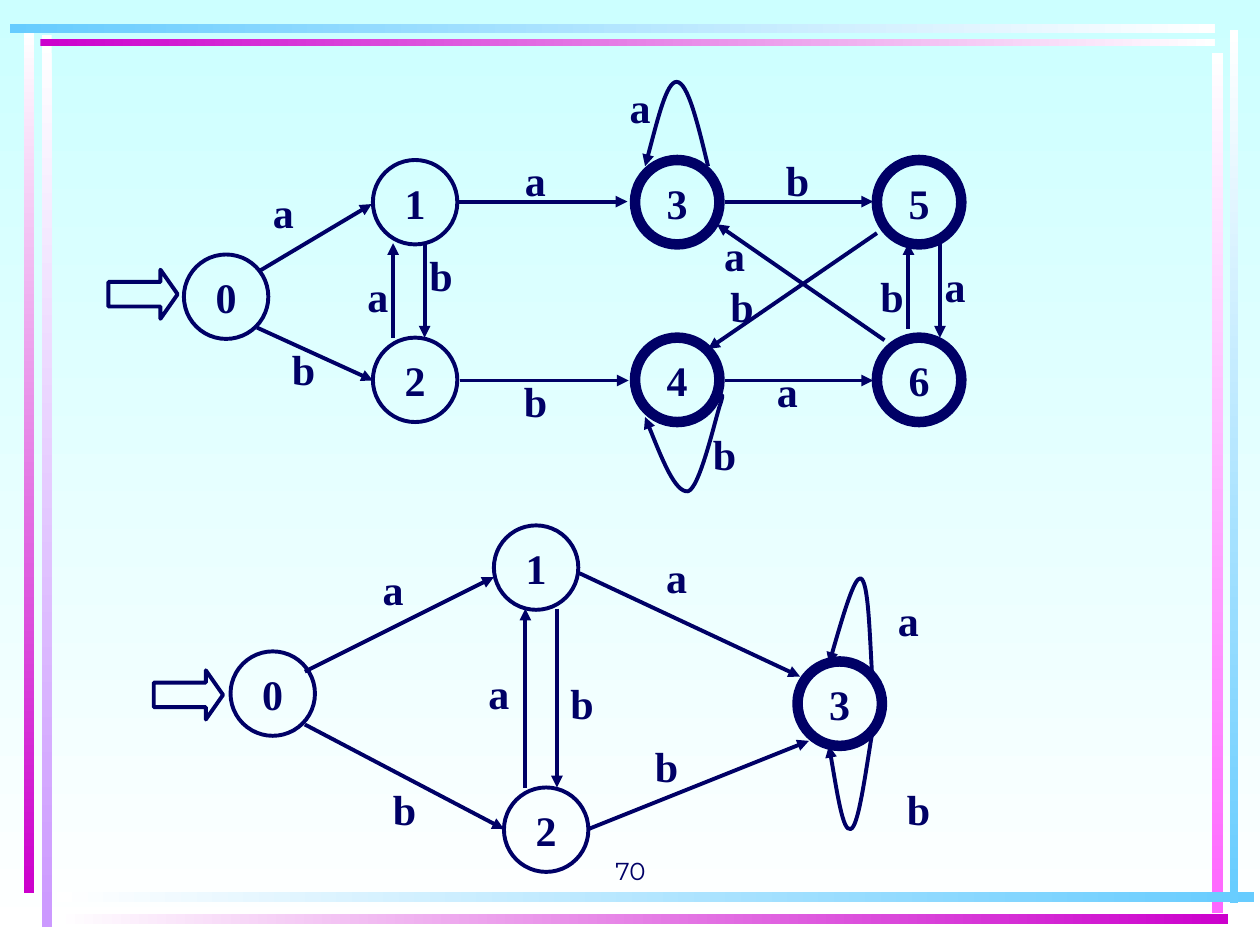
from lxml import etree
from pptx import Presentation
from pptx.dml.color import RGBColor
from pptx.enum.shapes import MSO_CONNECTOR, MSO_SHAPE
from pptx.enum.text import MSO_ANCHOR, PP_ALIGN
from pptx.oxml.ns import qn
from pptx.util import Inches, Pt

NAVY = "000066"
NODE_SIZE = 0.67
LABEL_WIDTH, LABEL_HEIGHT = 0.58, 0.5
BOLD_SERIF = {"name": "Times New Roman", "size": Pt(24), "bold": True}
NUMBER_FONT = {"name": "Montserrat", "size": Pt(14), "bold": False}


def write_text(shape, text, font_format=BOLD_SERIF, anchor=MSO_ANCHOR.MIDDLE, wrap=False):
    frame = shape.text_frame
    frame.word_wrap = wrap
    frame.vertical_anchor = anchor
    paragraph = frame.paragraphs[0]
    paragraph.text = text
    paragraph.alignment = PP_ALIGN.CENTER
    for name, value in font_format.items():
        setattr(paragraph.font, name, value)
    paragraph.font.color.rgb = RGBColor.from_string(NAVY)


def draw_outline(shape, width=2.25, arrow=False):
    """Give a shape or connector a navy line, no shadow and an optional arrowhead."""
    shape.line.color.rgb = RGBColor.from_string(NAVY)
    shape.line.width = Pt(width)
    properties = shape._element.spPr
    if arrow:
        etree.SubElement(properties.find(qn("a:ln")), qn("a:tailEnd"), type="triangle")
    if hasattr(shape, "fill"):
        shape.fill.background()
        shape.shadow.inherit = False
    else:
        etree.SubElement(properties, qn("a:effectLst"))


presentation = Presentation()
presentation.slide_width, presentation.slide_height = Inches(10), Inches(7.5)
slide = presentation.slides.add_slide(presentation.slide_layouts[6])
shapes = slide.shapes

# Background and frame: left, top, width, height, first colour, last colour
frame_bars = [
    (0.33, 0.28, 0.08, 7.08, "FFFFFF", "CC99FF"),
    (0.19, 0.25, 0.08, 6.84, "FFFFFF", "CC00CC"),
    (9.76, 0.24, 0.07, 6.93, "FFFFFF", "66CCFF"),
    (9.62, 0.42, 0.09, 6.83, "FFFFFF", "FF66FF"),
    (0.45, 7.08, 9.5, 0.08, "FFFFFF", "66CCFF"),
    (0.45, 7.25, 9.3, 0.08, "FFFFFF", "CC00CC"),
    (0.32, 0.31, 9.32, 0.06, "CC00CC", "FFFFFF"),
    (0.08, 0.19, 9.56, 0.07, "66CCFF", "FFFFFF"),
]
gradients = [(slide.background.fill, "CCFFFF", "FFFFFF", 270)]
for left, top, width, height, first, last in frame_bars:
    bar = shapes.add_shape(MSO_SHAPE.RECTANGLE, Inches(left), Inches(top), Inches(width), Inches(height))
    bar.line.fill.background()
    bar.shadow.inherit = False
    gradients.append((bar.fill, first, last, 270 if height > width else 0))
for fill, first, last, angle in gradients:
    fill.gradient()
    fill.gradient_angle = angle
    for stop, colour, position in zip(fill.gradient_stops, (first, last), (0, 1)):
        stop.color.rgb = RGBColor.from_string(colour)
        stop.position = position

slide_number = shapes.add_textbox(Inches(3.42), Inches(6.58), Inches(3.17), Inches(0.5))
write_text(slide_number, "70", NUMBER_FONT, MSO_ANCHOR.BOTTOM, True)

full_automaton = {
    "start": (0.86, 2.14),
    "states": [(1.46, 2.02), (2.96, 1.27), (2.96, 2.68), (5.04, 1.27),
               (5.04, 2.68), (6.96, 1.27), (6.96, 2.68)],
    "accepting": {3, 4, 5, 6},
    # from x, from y, to x, to y, letter, label left, label top
    "transitions": [
        (2.06, 2.15, 2.95, 1.62, "a", 1.96, 1.43),
        (3.64, 1.6, 4.98, 1.6, "a", 3.96, 1.18),
        (5.75, 1.6, 6.93, 1.6, "b", 6.04, 1.18),
        (2.04, 2.6, 2.96, 3.02, "b", 2.12, 2.68),
        (3.65, 3.02, 4.99, 3.02, "b", 3.96, 2.93),
        (5.75, 3.02, 6.93, 3.02, "a", 5.96, 2.85),
        (3.37, 1.93, 3.37, 2.68, "b", 3.21, 1.93),
        (3.12, 2.68, 3.12, 1.93, "a", 2.71, 2.1),
        (7.21, 2.61, 7.21, 1.93, "b", 6.79, 2.1),
        (7.46, 1.93, 7.46, 2.68, "a", 7.29, 2.02),
        (6.96, 1.85, 5.62, 2.77, "b", 5.6, 2.18),
        (7.02, 2.7, 5.69, 1.78, "a", 5.54, 1.77),
    ],
    # Bezier points, letter, label left, label top
    "loops": [
        ([(5.62, 1.32), (5.54, 0.99), (5.46, 0.65), (5.37, 0.65),
          (5.29, 0.65), (5.21, 0.99), (5.12, 1.32)], "a", 4.79, 0.6),
        ([(5.71, 3.15), (5.73, 3.13), (5.75, 3.11), (5.71, 3.23), (5.67, 3.36),
          (5.55, 3.88), (5.46, 3.9), (5.36, 3.91), (5.24, 3.61), (5.12, 3.31)], "b", 5.46, 3.35),
    ],
}
minimal_automaton = {
    "start": (1.22, 5.32),
    "states": [(1.83, 5.17), (3.92, 4.17), (4, 6.25), (6.33, 5.25)],
    "accepting": {3},
    "transitions": [
        (2.42, 5.33, 3.92, 4.58, "a", 2.83, 4.42),
        (4.6, 4.55, 6.35, 5.37, "a", 5.08, 4.33),
        (2.42, 5.75, 4, 6.58, "b", 2.92, 6.17),
        (4.42, 4.83, 4.42, 6.25, "b", 4.33, 5.33),
        (4.17, 6.25, 4.17, 4.83, "a", 3.67, 5.25),
        (4.67, 6.58, 6.42, 5.88, "b", 5, 5.83),
    ],
    "loops": [
        ([(6.92, 5.33), (6.9, 4.97), (6.89, 4.61), (6.83, 4.59),
          (6.78, 4.58), (6.68, 4.92), (6.58, 5.27)], "a", 6.92, 4.67),
        ([(6.92, 5.83), (6.86, 6.2), (6.81, 6.57), (6.75, 6.58),
          (6.69, 6.6), (6.64, 6.26), (6.58, 5.92)], "b", 7, 6.17),
    ],
}

for automaton in (full_automaton, minimal_automaton):
    left, top = automaton["start"]
    start_arrow = shapes.add_shape(MSO_SHAPE.RIGHT_ARROW, Inches(left), Inches(top), Inches(0.55), Inches(0.39))
    start_arrow.adjustments[1] = 0.35
    draw_outline(start_arrow)

    for number, (left, top) in enumerate(automaton["states"]):
        state = shapes.add_shape(MSO_SHAPE.OVAL, Inches(left), Inches(top), Inches(NODE_SIZE), Inches(NODE_SIZE))
        draw_outline(state, 6 if number in automaton["accepting"] else 2.25)
        write_text(state, str(number))

    labels = []
    for *ends, letter, left, top in automaton["transitions"]:
        transition = shapes.add_connector(MSO_CONNECTOR.STRAIGHT, *map(Inches, ends))
        draw_outline(transition, arrow=True)
        labels.append((letter, left, top))

    for points, letter, left, top in automaton["loops"]:
        corners = [(Inches(x), Inches(y)) for x, y in points]
        builder = shapes.build_freeform(*corners[0])
        builder.add_line_segments(corners[1:], close=False)
        loop = builder.convert_to_shape()
        draw_outline(loop, arrow=True)
        # Every three straight segments become one cubic curve
        outline = loop._element.find(".//" + qn("a:path"))
        segments = outline.findall(qn("a:lnTo"))
        for index in range(0, len(segments), 3):
            curve = etree.SubElement(outline, qn("a:cubicBezTo"))
            for segment in segments[index:index + 3]:
                curve.append(segment[0])
                outline.remove(segment)
        labels.append((letter, left, top))

    for letter, left, top in labels:
        label = shapes.add_textbox(Inches(left), Inches(top), Inches(LABEL_WIDTH), Inches(LABEL_HEIGHT))
        write_text(label, letter)

presentation.save("out.pptx")
